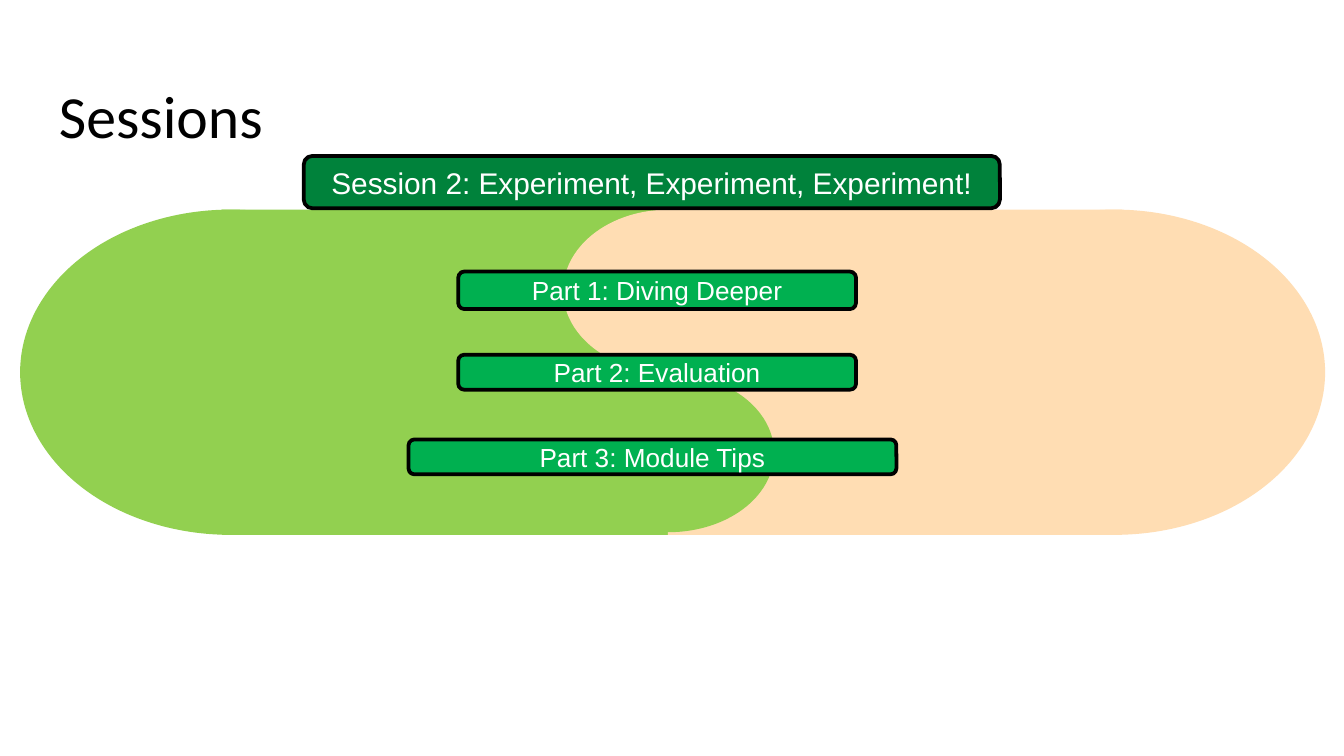
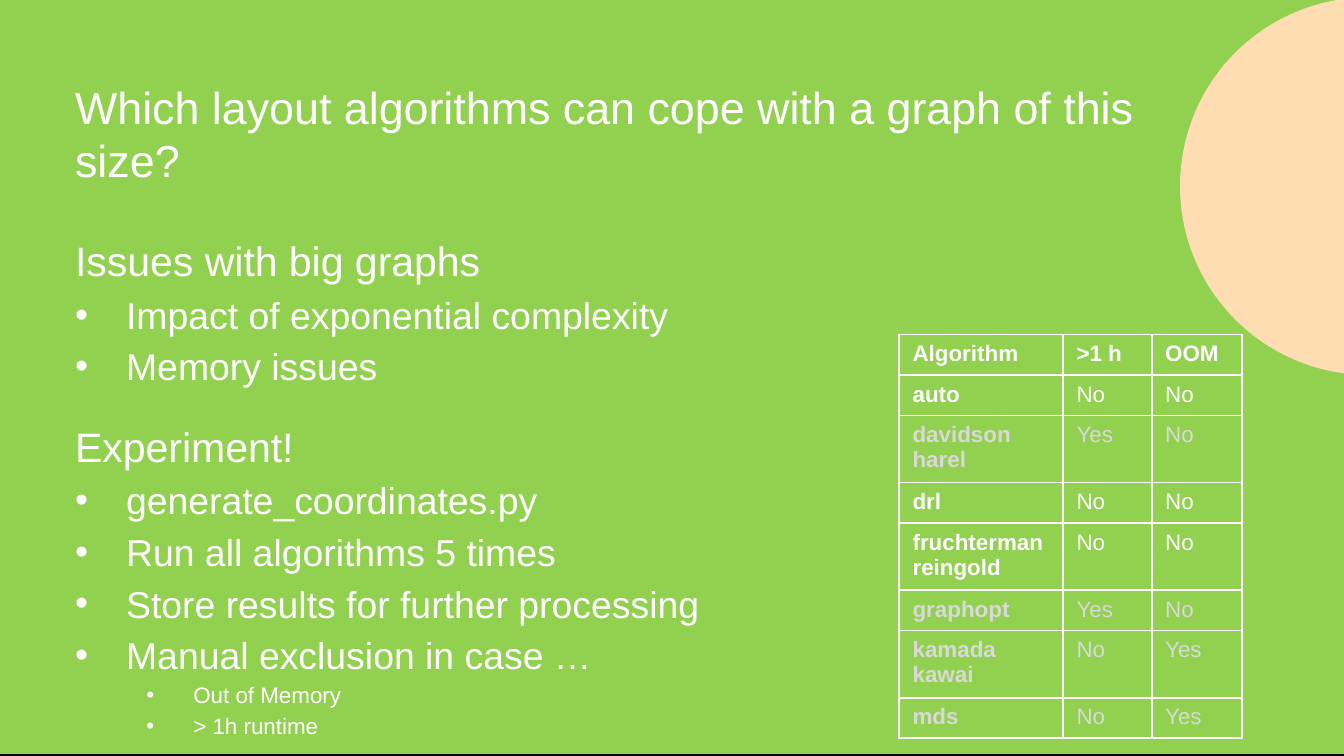
from lxml import etree
from pptx import Presentation
from pptx.dml.color import RGBColor
from pptx.enum.shapes import MSO_SHAPE
from pptx.enum.text import MSO_ANCHOR, PP_ALIGN
from pptx.oxml import parse_xml
from pptx.oxml.ns import nsdecls, qn
from pptx.util import Inches, Pt

RECT, OVAL, PILL = MSO_SHAPE.RECTANGLE, MSO_SHAPE.OVAL, MSO_SHAPE.ROUNDED_RECTANGLE
MIDDLE, CENTER = MSO_ANCHOR.MIDDLE, PP_ALIGN.CENTER

LIME = RGBColor(0x92, 0xD0, 0x50)
PEACH = RGBColor(0xFF, 0xDD, 0xB3)
DARK_GREEN = RGBColor(0x00, 0x82, 0x3B)
GREEN = RGBColor(0x00, 0xB0, 0x50)
WHITE = RGBColor(0xFF, 0xFF, 0xFF)
BLACK = RGBColor(0x00, 0x00, 0x00)
FADED = RGBColor(0xD9, 0xD9, 0xD9)

TITLE_BOX = (0.34, 0.49, 9.32, 0.63)


def write(paragraph, text, color, size, name="Arial", bold=False):
    """Fill a paragraph and format all its runs and line breaks alike."""
    paragraph.text = text
    font_format = {"size": Pt(size), "name": name, "bold": bold}
    for run in paragraph.runs:
        for attribute, value in font_format.items():
            setattr(run.font, attribute, value)
        run.font.color.rgb = color
    for line_break in paragraph._p.findall(qn("a:br")):
        etree.SubElement(line_break, qn("a:rPr"), sz=str(size * 100))


def add_part(slide, kind, box, fill=None, outlined=False):
    """Add a preset shape, or a text box with even insets if kind is None."""
    lengths = [Inches(value) for value in box]
    if kind is None:
        part = slide.shapes.add_textbox(*lengths)
        frame = part.text_frame
        frame.word_wrap = True
        for side in ("left", "top", "right", "bottom"):
            setattr(frame, f"margin_{side}", Inches(0.1))
        return part
    part = slide.shapes.add_shape(kind, *lengths)
    part.shadow.inherit = False
    if fill is None:
        part.fill.background()
    else:
        part.fill.solid()
        part.fill.fore_color.rgb = fill
    if outlined:
        part.line.color.rgb = BLACK
        part.line.width = Pt(2)
    else:
        part.line.fill.background()
    return part


prs = Presentation()
prs.slide_width = Inches(10)
prs.slide_height = Inches(10) * 9 // 16
blank = prs.slide_layouts[6]

# Slide 1: sessions
sessions = prs.slides.add_slide(blank)
for kind, box, fill in [
    (RECT, (1.65, 1.56, 3.32, 2.42), LIME),
    (RECT, (4.97, 1.56, 3.38, 2.42), PEACH),
    (OVAL, (4.19, 1.56, 1.57, 1.21), PEACH),
    (OVAL, (4.19, 2.78, 1.57, 1.18), LIME),
    (OVAL, (6.73, 1.56, 3.13, 2.42), PEACH),
    (OVAL, (0.15, 1.56, 3.13, 2.42), LIME),
]:
    add_part(sessions, kind, box, fill)

title = add_part(sessions, None, TITLE_BOX)
write(title.text_frame.paragraphs[0], "Sessions", BLACK, 32, "Calibri")

for label, box, fill, size in [
    ("Session 2: Experiment, Experiment, Experiment!", (2.26, 1.16, 5.18, 0.39), DARK_GREEN, 16),
    ("Part 1: Diving Deeper", (3.41, 2.02, 2.96, 0.28), GREEN, 14),
    ("Part 2: Evaluation", (3.41, 2.64, 2.96, 0.26), GREEN, 14),
    ("Part 3: Module Tips", (3.04, 3.27, 3.63, 0.26), GREEN, 14),
]:
    session = add_part(sessions, PILL, box, fill, outlined=True)
    session.text_frame.vertical_anchor = MIDDLE
    heading = session.text_frame.paragraphs[0]
    heading.alignment = CENTER
    write(heading, label, WHITE, size)

# Slide 2: layout algorithms
algorithms = prs.slides.add_slide(blank)
add_part(algorithms, RECT, (0, 0, 10, 5.62), outlined=True)
add_part(algorithms, RECT, (-0.66, -0.01, 10.85, 5.62), LIME)
add_part(algorithms, OVAL, (8.78, -0.02, 2.81, 2.81), PEACH)

title = add_part(algorithms, None, TITLE_BOX)
question = title.text_frame.paragraphs[0]
write(question, "Which layout algorithms can cope with a graph of this \nsize?", WHITE, 24)
question._p.get_or_add_pPr().set("marL", str(Inches(0.12)))

# Per level: size, left margin, first-line indent
LEVELS = [(22, 0.12, 0), (20, 0.5, -0.38), (12, 1, -0.35)]
issues = [
    (0, "Issues with big graphs"),
    (1, "Impact of exponential complexity"),
    (1, "Memory issues"),
    (0, "Experiment!"),
    (1, "generate_coordinates.py"),
    (1, "Run all algorithms 5 times"),
    (1, "Store results for further processing"),
    (1, "Manual exclusion in case …"),
    (2, "Out of Memory"),
    (2, "> 1h runtime"),
]
body = add_part(algorithms, None, (0.34, 1.6, 9.66, 3.69)).text_frame
for index, (level, text) in enumerate(issues):
    item = body.add_paragraph() if index else body.paragraphs[0]
    size, margin, indent = LEVELS[level]
    write(item, text, WHITE, size)
    item.line_spacing = 1.15
    item.level = max(level - 1, 0)
    if index and level == 0:
        item.space_before = Pt(14)
    properties = item._p.get_or_add_pPr()
    properties.set("marL", str(Inches(margin)))
    properties.set("indent", str(Inches(indent)))
    if level:
        bullet_color = etree.SubElement(properties, qn("a:buClr"))
        etree.SubElement(bullet_color, qn("a:srgbClr"), val=str(WHITE))
        etree.SubElement(properties, qn("a:buFont"), typeface="Arial")
        etree.SubElement(properties, qn("a:buChar"), char="•")

results = [
    ("Algorithm", ">1 h", "OOM"),
    ("auto", "No", "No"),
    ("davidson\nharel", "Yes", "No"),
    ("drl", "No", "No"),
    ("fruchtermanreingold", "No", "No"),
    ("graphopt", "Yes", "No"),
    ("kamada\nkawai", "No", "Yes"),
    ("mds", "No", "Yes"),
]
table = algorithms.shapes.add_table(
    len(results), 3, Inches(6.69), Inches(2.49), Inches(2.55), Inches(3)
).table
for column, width in zip(table.columns, (1.22, 0.66, 0.67)):
    column.width = Inches(width)
for row_index, values in enumerate(results):
    two_lines = len(values[0]) > 10
    table.rows[row_index].height = Inches(0.5 if two_lines else 0.3)
    color = FADED if "Yes" in values else WHITE
    for column_index, value in enumerate(values):
        cell = table.cell(row_index, column_index)
        is_header = row_index == 0 or column_index == 0
        write(cell.text_frame.paragraphs[0], value, color, 12, bold=is_header)
        cell.fill.background()
        for position, side in enumerate("LRTB"):
            cell._tc.get_or_add_tcPr().insert(position, parse_xml(
                f'<a:ln{side} {nsdecls("a")} w="{Pt(1)}"><a:solidFill>'
                f'<a:srgbClr val="{WHITE}"/></a:solidFill></a:ln{side}>'
            ))

prs.save("out.pptx")
